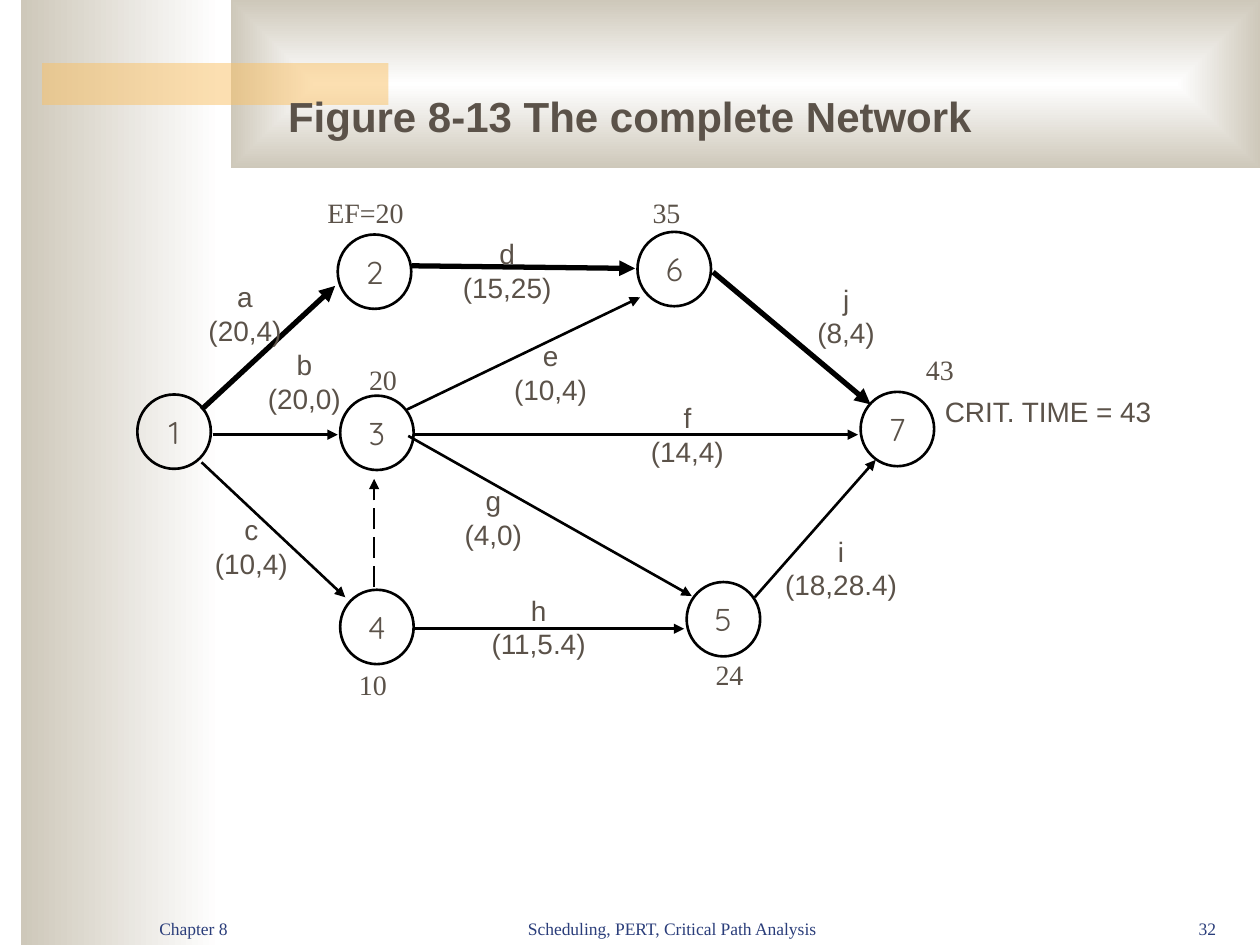
from lxml import etree
from pptx import Presentation
from pptx.dml.color import RGBColor
from pptx.enum import dml, shapes, text
from pptx.oxml.ns import qn
from pptx.util import Pt

WHITE = RGBColor(0xFF, 0xFF, 0xFF)
TAN = RGBColor(0xCE, 0xC8, 0xBA)
ORANGE = RGBColor(0xFA, 0xC1, 0x64)
BROWN = RGBColor(0x5B, 0x52, 0x49)
NAVY = RGBColor(0x2A, 0x3D, 0x7A)
BLACK = RGBColor(0, 0, 0)

LEFT, CENTER, RIGHT = text.PP_ALIGN.LEFT, text.PP_ALIGN.CENTER, text.PP_ALIGN.RIGHT
TOP, MIDDLE, BOTTOM = (text.MSO_ANCHOR.TOP, text.MSO_ANCHOR.MIDDLE,
                       text.MSO_ANCHOR.BOTTOM)

NODE_WIDTH, NODE_HEIGHT = 42, 42.5
LABEL_WIDTH, LABEL_HEIGHT = 84, 54
THICK, THIN = 3, 1.5

# Node number: left, top within the diagram
NODES = {
    "1": (6.5, 117.4), "2": (121, 26), "3": (122.4, 118.1), "4": (122.4, 229),
    "5": (320.4, 224.6), "6": (292.3, 24.5), "7": (419.8, 115.9),
}
# Activity name, (duration, variance), start, end, weight, label centre and top
ACTIVITIES = [
    ("a", "(20,4)", (43.2, 126), (119.5, 55.4), THICK, (68, 48.2)),
    ("b", "(20,0)", (49.7, 140.4), (121, 140.4), THIN, (101.9, 87.1)),
    ("c", "(10,4)", (43.2, 156.2), (125.3, 233.3), THIN, (71.6, 181.4)),
    ("d", "(15,25)", (163.4, 43.9), (290.9, 45.4), THICK, (217.8, 23.8)),
    ("e", "(10,4)", (160.6, 126), (293.8, 61.9), THIN, (242.6, 82.1)),
    ("f", "(14,4)", (164.2, 140.4), (418.3, 140.4), THIN, (320.8, 117.4)),
    ("g", "(4,0)", (161.3, 141.1), (323.3, 232.6), THIN, (209.9, 164.9)),
    ("h", "(11,5.4)", (164.9, 251.3), (319, 251.3), THIN, (235.8, 227.5)),
    ("i", "(18,28.4)", (359.3, 233.3), (428.4, 154.8), THIN, (408.6, 193.7)),
    ("j", "(8,4)", (335.5, 47.5), (425.5, 123.1), THICK, (411.5, 49.7)),
]
DUMMY_ACTIVITY = ((141.8, 227.5), (141.8, 165.6))
# Earliest finish: text, left, top, width
FINISH_TIMES = [
    ("EF=20", 108, 0, 73), ("35", 293.8, 0, 36), ("20", 131.8, 95.8, 36),
    ("43", 450, 90, 36), ("24", 329.8, 264.2, 36), ("10", 126, 270, 36),
]


def write(shape, words, size, font, color=BROWN, align=LEFT, anchor=TOP, bold=False):
    frame = shape.text_frame
    frame.text = words
    frame.word_wrap = True
    frame.auto_size = text.MSO_AUTO_SIZE.NONE
    frame.vertical_anchor = anchor
    for paragraph in frame.paragraphs:
        paragraph.alignment = align
        for run in paragraph.runs:
            run.font.size, run.font.name, run.font.bold = Pt(size), font, bold
            run.font.color.rgb = color


def add_text(slide, box, *words, **style):
    write(slide.shapes.add_textbox(*map(Pt, box)), *words, **style)


def add_panel(slide, box):
    panel = slide.shapes.add_shape(shapes.MSO_SHAPE.RECTANGLE, *map(Pt, box))
    panel.shadow.inherit = False
    panel.line.fill.background()
    return panel


def add_gradient_panel(slide, box):
    panel = add_panel(slide, box)
    panel.fill.gradient()
    panel.fill.gradient_angle = 180
    for stop, color in zip(panel.fill.gradient_stops, (WHITE, TAN)):
        stop.color.rgb = color
    return panel


def add_backdrop(slide, box):
    left, top, width, height = box
    # Side band
    add_gradient_panel(slide, (left + 12, top, 114, height))
    # Header band, shaded from its centre
    header = add_gradient_panel(slide, (left + 132, top, width - 132, 96))
    linear = header.fill._fill._gradFill.find(qn("a:lin"))
    shade = etree.Element(qn("a:path"), {"path": "rect"})
    etree.SubElement(shade, qn("a:fillToRect"), dict.fromkeys("ltrb", "50000"))
    linear.getparent().replace(linear, shade)
    # Translucent accent bar
    accent = add_panel(slide, (left + 24, top + 36, 198, 24))
    accent.fill.solid()
    accent.fill.fore_color.rgb = ORANGE
    color = accent.element.spPr.find(qn("a:solidFill"))[0]
    etree.SubElement(color, qn("a:alpha"), val="50000")


def add_title(slide, box):
    title = slide.shapes.title
    title.left, title.top, title.width, title.height = map(Pt, box)
    write(title, "Figure 8-13 The complete Network", 24, "Arial",
          align=CENTER, bold=True)
    # Bring the title in front of the header band
    title.element.getparent().append(title.element)


def add_arrow(slide, start, end, weight):
    arrow = slide.shapes.add_connector(shapes.MSO_CONNECTOR.STRAIGHT,
                                       *map(Pt, (*start, *end)))
    arrow.line.color.rgb = BLACK
    arrow.line.width = Pt(weight)
    etree.SubElement(arrow.line._get_or_add_ln(), qn("a:tailEnd"), type="triangle")
    etree.SubElement(arrow.element.spPr, qn("a:effectLst"))
    return arrow


def add_network(slide, box):
    left, top, width, _ = box

    def at(point):
        return left + point[0], top + point[1]

    # Numbered nodes
    for number, corner in NODES.items():
        node = slide.shapes.add_shape(
            shapes.MSO_SHAPE.OVAL, *map(Pt, (*at(corner), NODE_WIDTH, NODE_HEIGHT)))
        node.shadow.inherit = False
        node.fill.background()
        node.line.color.rgb = BLACK
        node.line.width = Pt(THIN)
        write(node, number, 18, "Quicksand", align=CENTER, anchor=MIDDLE)
        frame = node.text_frame
        frame.margin_left = frame.margin_right = 0
        frame.margin_top = frame.margin_bottom = 0

    # Activity arrows and the dashed dummy activity
    for _, _, start, end, weight, _ in ACTIVITIES:
        add_arrow(slide, at(start), at(end), weight)
    dummy = add_arrow(slide, *map(at, DUMMY_ACTIVITY), THIN)
    dummy.line.dash_style = dml.MSO_LINE.LONG_DASH

    # Activity labels
    for name, values, _, _, _, label in ACTIVITIES:
        x, y = at(label)
        add_text(slide, (x - LABEL_WIDTH / 2, y, LABEL_WIDTH, LABEL_HEIGHT),
                 f"{name}\n{values}", 16, "Arial", align=CENTER)

    # Earliest finish times and critical time
    for words, x, y, label_width in FINISH_TIMES:
        add_text(slide, (*at((x, y)), label_width, 26.6),
                 words, 16, "Times New Roman")
    add_text(slide, (*at((width - 142.6, 113.8)), 142.6, 30),
             "CRIT. TIME = 43", 16, "Arial")


def add_footer(slide, box):
    left, top, width, height = box
    parts = [
        ("Chapter 8", 0, 150, LEFT),
        ("Scheduling, PERT, Critical Path Analysis", 186, 228, CENTER),
        ("32", width - 72, 72, RIGHT),
    ]
    for words, x, part_width, align in parts:
        add_text(slide, (left + x, top, part_width, height), words, 10,
                 "Times New Roman", color=NAVY, align=align, anchor=BOTTOM)


def main():
    presentation = Presentation()
    presentation.slide_width, presentation.slide_height = Pt(720), Pt(540)
    slide = presentation.slides.add_slide(presentation.slide_layouts[5])
    add_backdrop(slide, (0, 0, 720, 540))
    add_title(slide, (60, 48, 600, 36))
    add_network(slide, (72, 108, 603.4, 300))
    add_footer(slide, (84, 504, 618, 36))
    presentation.save("out.pptx")


if __name__ == "__main__":
    main()
